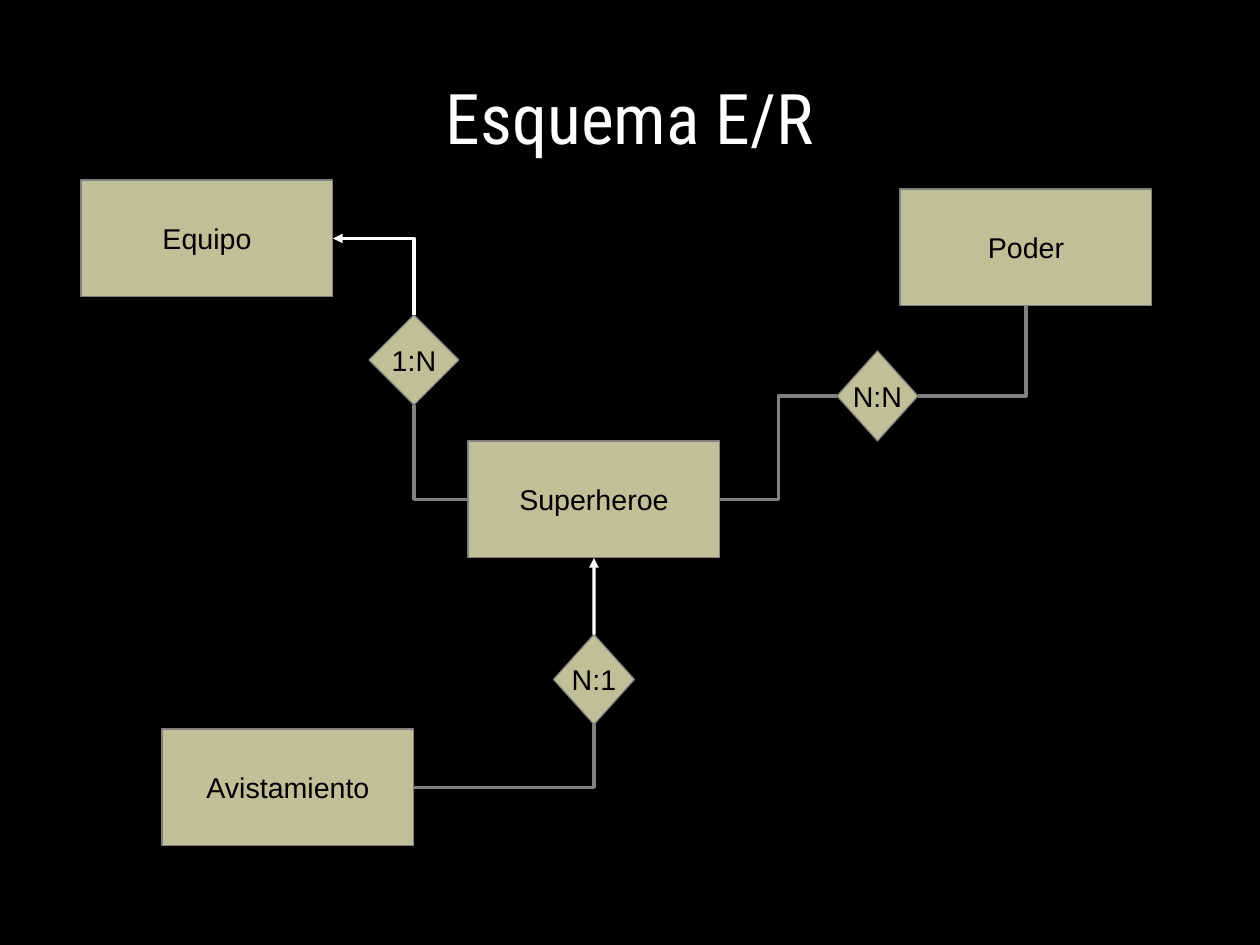
from dataclasses import dataclass

from lxml.etree import SubElement
from pptx import Presentation
from pptx.dml.color import RGBColor as RGB
from pptx.enum.shapes import MSO_CONNECTOR as Link, MSO_SHAPE as Shape
from pptx.enum.text import MSO_ANCHOR as Anchor, MSO_AUTO_SIZE as AutoSize, PP_ALIGN as Align
from pptx.oxml.ns import qn
from pptx.util import Cm, Pt

COLS, ROWS = 28, 21  # grid of one-centimetre cells
TOP, LEFT, BOTTOM, RIGHT = range(4)  # connection sites


@dataclass(frozen=True)
class Theme:
    back: RGB = RGB(0x00, 0x00, 0x00)
    title: RGB = RGB(0xFF, 0xFF, 0xFF)
    text: RGB = RGB(0x00, 0x00, 0x00)
    fill: RGB = RGB(0xFF, 0xFF, 0xCC)
    line: RGB = RGB(0x80, 0x80, 0x80)
    arrow: RGB = RGB(0xFF, 0xFF, 0xFF)
    opacity: int = 75
    title_font: str = "Roboto Condensed"
    text_font: str = "Arial"
    title_size: int = 44
    text_size: int = 18


class Diagram:
    """Entity-relationship diagram on one slide; lengths in grid cells."""

    def __init__(self, prs, theme):
        self.theme = theme
        self.s = prs.slides.add_slide(prs.slide_layouts[5])
        bg = self.s.background.fill
        bg.solid()
        bg.fore_color.rgb = theme.back

    def label(self, tf, text, font, size, color):
        tf.text = text
        tf.vertical_anchor = Anchor.MIDDLE
        p = tf.paragraphs[0]
        p.alignment = Align.CENTER
        p.font.name, p.font.size = font, Pt(size)
        p.font.color.rgb = color

    def title(self, text, col, row, width, height):
        t = self.theme
        sp = self.s.shapes.title
        sp.left, sp.top, sp.width, sp.height = map(Cm, (col, row, width, height))
        tf = sp.text_frame
        tf.margin_left = tf.margin_top = tf.margin_right = tf.margin_bottom = 0
        tf.auto_size = AutoSize.NONE
        self.label(tf, text, t.title_font, t.title_size, t.title)

    def node(self, kind, text, col, row, width, height):
        t = self.theme
        sp = self.s.shapes.add_shape(kind, *map(Cm, (col, row, width, height)))
        sp.shadow.inherit = False
        sp.fill.solid()
        sp.fill.fore_color.rgb = t.fill
        color = sp._element.spPr.find(qn("a:solidFill"))[0]
        SubElement(color, qn("a:alpha"), val=str(t.opacity * 1000))
        sp.line.color.rgb = t.line
        sp.line.width = 0
        sp.text_frame.word_wrap = False
        self.label(sp.text_frame, text, t.text_font, t.text_size, t.text)
        return sp

    def entity(self, text, col, row):
        return self.node(Shape.RECTANGLE, text, col, row, 5.6, 2.6)

    def relation(self, text, col, row, width=1.8):
        return self.node(Shape.DIAMOND, text, col, row, width, 2)

    def link(self, start, start_side, end, end_side, geometry, arrow=False):
        """Join two nodes; an arrow points at the start node."""
        kind = Link.STRAIGHT if geometry == "line" else Link.ELBOW
        cx = self.s.shapes.add_connector(kind, 0, 0, 0, 0)
        cx.begin_connect(start, start_side)
        cx.end_connect(end, end_side)
        sp_pr = cx._element.spPr
        sp_pr.find(qn("a:prstGeom")).set("prst", geometry)
        cx.line.color.rgb = self.theme.arrow if arrow else self.theme.line
        cx.line.width = 0
        if arrow:
            SubElement(sp_pr.find(qn("a:ln")), qn("a:headEnd"), type="triangle")
        SubElement(sp_pr, qn("a:effectLst"))


def main():
    prs = Presentation()
    prs.slide_width, prs.slide_height = Cm(COLS), Cm(ROWS)
    d = Diagram(prs, Theme())
    d.title("Esquema E/R", 1.4, 0.84, COLS - 2 * 1.4, 3.5)

    # Entities
    hero = d.entity("Superheroe", 10.4, 9.8)
    power = d.entity("Poder", 20, 4.2)
    team = d.entity("Equipo", 1.8, 4)
    sighting = d.entity("Avistamiento", 3.6, 16.2)

    # Relations
    has_power = d.relation("N:N", 18.6, 7.8)
    in_team = d.relation("1:N", 8.2, 7, width=2)
    sighted = d.relation("N:1", 12.3, 14.1)

    # Links: one corner, two corners or straight
    corner, step, straight = "bentConnector2", "bentConnector3", "line"
    d.link(hero, RIGHT, has_power, LEFT, step)
    d.link(has_power, RIGHT, power, BOTTOM, corner)
    d.link(hero, LEFT, in_team, BOTTOM, corner)
    d.link(team, RIGHT, in_team, TOP, corner, arrow=True)
    d.link(hero, BOTTOM, sighted, TOP, straight, arrow=True)
    d.link(sighting, RIGHT, sighted, BOTTOM, corner)

    prs.save("out.pptx")


if __name__ == "__main__":
    main()
